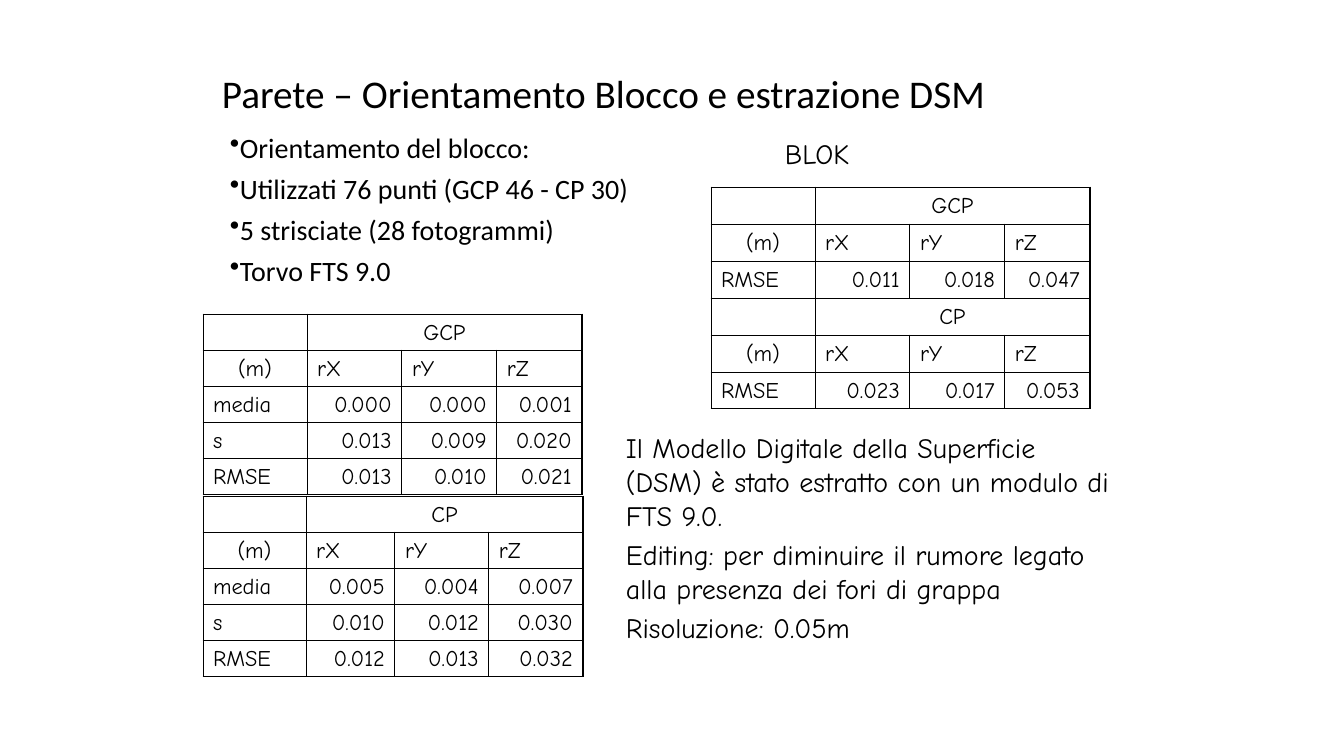
import pptx
import pptx.dml.color
import pptx.enum.text
import pptx.util
from lxml import etree

# Content
TITLE = "Parete – Orientamento Blocco e estrazione DSM"
BULLETS = [
    "Orientamento del blocco:",
    "Utilizzati 76 punti (GCP 46 - CP 30)",
    "5 strisciate (28 fotogrammi)",
    "Torvo FTS 9.0",
]
SOFTWARE = "BLOK"
NOTES = [
    "Il Modello Digitale della Superficie (DSM) è stato estratto con un modulo di FTS 9.0.",
    "Editing: per diminuire il rumore legato alla presenza dei fori di grappa",
    "Risoluzione: 0.05m",
]
# The last column is a blank margin with no outer border
WIDE_COLS = [104, 95, 95, 85, 66]
# heading, left, top, column widths, row height, vertical margin, data rows
TABLES = [
    ("GCP", 203, 314, WIDE_COLS, 36, 4, [
        ("media", "0.000", "0.000", "0.001"),
        ("s", "0.013", "0.009", "0.020"),
        ("RMSE", "0.013", "0.010", "0.021")]),
    ("CP", 203, 496, [103, 89, 94, 94, 94], 36, 4, [
        ("media", "0.005", "0.004", "0.007"),
        ("s", "0.010", "0.012", "0.030"),
        ("RMSE", "0.012", "0.013", "0.032")]),
    ("GCP", 711, 187, WIDE_COLS, 37, 5, [("RMSE", "0.011", "0.018", "0.047")]),
    ("CP", 711, 298, WIDE_COLS, 37, 5, [("RMSE", "0.023", "0.017", "0.053")]),
]
UNITS = ("(m)", "rX", "rY", "rZ")

BLACK = pptx.dml.color.RGBColor(0, 0, 0)
SANS, COMIC = "Calibri", "Comic Neue"
THIN, THICK = 0.75, 2
ALIGN = pptx.enum.text.PP_ALIGN
ANCHOR = pptx.enum.text.MSO_ANCHOR
NS = "http://schemas.openxmlformats.org/drawingml/2006/main"


def px(n):
    return pptx.util.Emu(round(n * 914400 / 100.8))


def write(tf, lines, size=20, font=COMIC, align=ALIGN.LEFT, spacing=None, before=0, bullet=None):
    for i, text in enumerate(lines):
        p = tf.paragraphs[0] if i == 0 else tf.add_paragraph()
        p.alignment = align
        if spacing:
            p.line_spacing = spacing
        p.space_before = pptx.util.Pt(before if i else 0)
        if bullet:
            etree.SubElement(p._p.get_or_add_pPr(), f"{{{NS}}}buChar", char=bullet)
        if not text:
            etree.SubElement(p._p, f"{{{NS}}}endParaRPr", sz=str(size * 100))
            continue
        r = p.add_run()
        r.text = text
        r.font.size = pptx.util.Pt(size)
        r.font.name = font
        r.font.color.rgb = BLACK


def add_text(s, box, lines, wrap=True, anchor=ANCHOR.TOP, **fmt):
    tf = s.shapes.add_textbox(*map(px, box)).text_frame
    tf.word_wrap = wrap
    tf.vertical_anchor = anchor
    write(tf, lines, **fmt)


def add_borders(cell, left, right, top, bottom):
    tcPr = cell._tc.get_or_add_tcPr()
    for side, width in (("L", left), ("R", right), ("T", top), ("B", bottom)):
        ln = etree.SubElement(tcPr, f"{{{NS}}}ln{side}", w=str(pptx.util.Pt(width)))
        if width:
            fill = etree.SubElement(ln, f"{{{NS}}}solidFill")
            etree.SubElement(fill, f"{{{NS}}}srgbClr", val=str(BLACK))
        else:
            etree.SubElement(ln, f"{{{NS}}}noFill")


def add_errors(s, heading, left, top, widths, row_h, margin, data):
    rows = [("", heading, "", ""), UNITS, *data]
    box = (left, top, sum(widths), row_h * len(rows))
    table = s.shapes.add_table(len(rows), len(widths), *map(px, box)).table
    table.first_row = table.horz_banding = False
    for col, width in zip(table.columns, widths):
        col.width = px(width)
    for i, row in enumerate(rows):
        table.rows[i].height = px(row_h)
        for j, text in enumerate((*row, "")):
            cell = table.cell(i, j)
            cell.vertical_anchor = ANCHOR.BOTTOM
            cell.margin_top = cell.margin_bottom = px(margin)
            if j == 4:
                add_borders(cell, THICK, 0, 0, 0)
            else:
                last = j == 3 or (i, j) == (0, 1)
                add_borders(cell, THIN, THICK if last else THIN, THIN, THIN)
            cell.fill.background()
            if text in (heading, "(m)"):
                align = ALIGN.CENTER
            else:
                align = ALIGN.RIGHT if i > 1 and j else ALIGN.LEFT
            write(cell.text_frame, [text], size=16, align=align)
    table.cell(0, 1).merge(table.cell(0, 3))


prs = pptx.Presentation()
prs.slide_width, prs.slide_height = px(1344), px(756)
s = prs.slides.add_slide(prs.slide_layouts[6])

# Title and bullets
add_text(s, (212, 67, 907, 57), [TITLE], anchor=ANCHOR.MIDDLE, size=28, font=SANS, spacing=0.9)
add_text(s, (220, 132, 690, 164), BULLETS, font=SANS, spacing=0.8, before=10, bullet="•")

# Error tables
for errors in TABLES:
    add_errors(s, *errors)

# Right-hand texts
add_text(s, (775, 132, 96, 43), [SOFTWARE], wrap=False)
add_text(s, (616, 426, 504, 261), NOTES, before=4)

prs.save("out.pptx")
